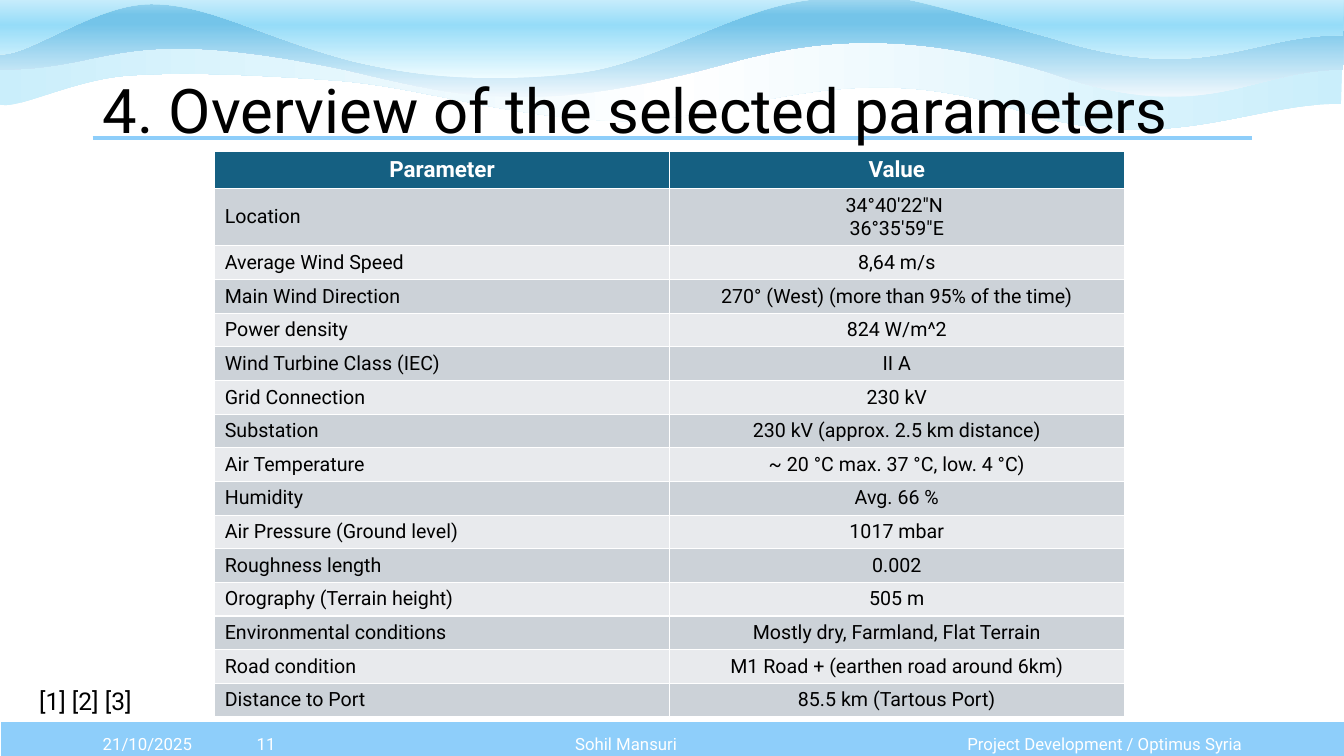
from lxml import etree
from pptx import Presentation
from pptx.dml.color import RGBColor
from pptx.enum.shapes import MSO_CONNECTOR, MSO_SHAPE
from pptx.enum.text import MSO_ANCHOR, PP_ALIGN
from pptx.oxml.ns import qn
from pptx.util import Inches, Pt

LEFT, CENTER, RIGHT = PP_ALIGN.LEFT, PP_ALIGN.CENTER, PP_ALIGN.RIGHT
TOP, MIDDLE = MSO_ANCHOR.TOP, MSO_ANCHOR.MIDDLE
RECTANGLE, STRAIGHT = MSO_SHAPE.RECTANGLE, MSO_CONNECTOR.STRAIGHT

FONT = "Roboto"
UNITS = 100  # freeform units per inch
COLORS = {
    "text": "000000", "white": "FFFFFF", "accent": "8ECEFA",
    "header": "156082", "band_dark": "CCD2D8", "band_light": "E8EAED",
    "ice": "CAEEFB", "mist": "F0F8FD", "wave": "74C4E9", "pale": "A2D8F0",
    "foam": "EFFCFF", "sky": "96DCF8",
}

# Each wave: start point, Bezier segments, straight top edge, height, gradient
BACK_WAVE = {
    "start": (13.3, 1.03),
    "curves": [(12.37, 1.02, 11.52, 1.59, 9.99, 1.06), (8.27, 0.54, 7.21, 1.24, 6.1, 1.2),
               (4.99, 1.16, 4.21, 0.87, 3.35, 0.8), (2.49, 0.74, 1.83, 0.71, 1.27, 0.75),
               (0.71, 0.79, 0.14, 1.11, -0.02, 1.03)],
    "edge": [(-0.04, 0.3), (3.13, 0.31), (6.52, 0.34), (9.41, 0.32), (13.32, 0.34)],
    "height": 0.98, "stops": [(0, "ice"), (50, "white"), (100, "ice")], "angle": 0,
}
MIDDLE_WAVE = {
    "start": (13.32, 0.69),
    "curves": [(12.39, 0.69, 11.96, 1.27, 10.44, 0.73), (8.71, 0.19, 7.73, 0.49, 7.06, 0.67),
               (5.28, 1.14, 4.59, 0.97, 3.46, 0.7), (1.13, 0.21, 1.15, 0.69, 0, 0.69)],
    "edge": [(0.01, -0.01), (3.13, 0), (6.54, -0.02), (9.46, -0.01), (13.33, 0.03)],
    "height": 0.98, "angle": 90,
    "stops": [(0, "mist"), (74, "wave"), (83, "wave"), (100, "pale")],
}
FRONT_WAVE = {
    "start": (13.32, 0.37),
    "curves": [(12.39, 0.36, 11.96, 0.88, 10.44, 0.4), (8.72, -0.08, 8.91, -0.05, 8.13, 0.01),
               (7.35, 0.06, 6.53, 0.64, 5.76, 0.74), (4.98, 0.84, 4.24, 0.81, 3.47, 0.62),
               (2.58, 0.38, 2.07, 0.06, 1.5, 0.06), (0.92, 0.06, 0.22, 0.63, -0.03, 0.55)],
    "edge": [(0.01, -0.25), (3.13, -0.24), (6.54, -0.26), (9.46, -0.25), (13.33, -0.22)],
    "height": 1.06, "stops": [(0, "foam"), (50, "sky"), (100, "white")], "angle": 90,
}

PARAMETERS = [
    ("Parameter", "Value"),
    ("Location", "34°40'22\"N \n36°35'59\"E"),
    ("Average Wind Speed", "8,64 m/s"),
    ("Main Wind Direction", "270° (West) (more than 95% of the time)"),
    ("Power density", "824 W/m^2"),
    ("Wind Turbine Class (IEC)", "II A"),
    ("Grid Connection", "230 kV"),
    ("Substation", "230 kV (approx. 2.5 km distance)"),
    ("Air Temperature", "~ 20 °C max. 37 °C, low. 4 °C)"),
    ("Humidity", "Avg. 66 %"),
    ("Air Pressure (Ground level)", "1017 mbar"),
    ("Roughness length", "0.002"),
    ("Orography (Terrain height)", "505 m"),
    ("Environmental conditions", "Mostly dry, Farmland, Flat Terrain"),
    ("Road condition", "M1 Road + (earthen road around 6km)"),
    ("Distance to Port", "85.5 km (Tartous Port)"),
]


def rgb(name):
    return RGBColor.from_string(COLORS[name])


def write(tf, text, size=12, color="white", bold=False, align=LEFT, anchor=MIDDLE, spacing=None):
    tf.word_wrap = True
    tf.vertical_anchor = anchor
    for i, line in enumerate(text.split("\n")):
        p = tf.add_paragraph() if i else tf.paragraphs[0]
        p.alignment = align
        if spacing:
            p.line_spacing = spacing
        r = p.add_run()
        r.text = line
        r.font.name, r.font.size, r.font.bold = FONT, Pt(size), bold
        r.font.color.rgb = rgb(color)


class SlideBuilder:
    def __init__(self, slide):
        self.shapes = slide.shapes

    def bar(self, x, y, w, h, fill):
        sp = self.shapes.add_shape(RECTANGLE, Inches(x), Inches(y), Inches(w), Inches(h))
        sp.shadow.inherit = False
        sp.fill.solid()
        sp.fill.fore_color.rgb = rgb(fill)
        sp.line.color.rgb = rgb("white")
        sp.line.width = Pt(1.5)

    def wave(self, start, curves, edge, height, stops, angle, dy=0):
        corners = [start] + [curve[-2:] for curve in curves] + edge
        left, top = (min(values) for values in zip(*corners))
        local = [(UNITS * (x - left), UNITS * (y - top)) for x, y in corners]
        builder = self.shapes.build_freeform(*local[0], scale=Inches(1) / UNITS)
        builder.add_line_segments(local[1:], close=True)
        sp = builder.convert_to_shape(Inches(left), Inches(top + dy))

        # Bend the first segments and fit the box to the curves
        outline = next(sp.element.iter(qn("a:path")))
        outline.set("h", str(round(UNITS * height)))
        sp.height = Inches(height)
        for straight, curve in zip(list(outline.iter(qn("a:lnTo"))), curves):
            bend = etree.Element(qn("a:cubicBezTo"))
            for x, y in zip(curve[::2], curve[1::2]):
                etree.SubElement(bend, qn("a:pt"), x=str(round(UNITS * (x - left))),
                                 y=str(round(UNITS * (y - top))))
            outline.replace(straight, bend)

        sp.shadow.inherit = False
        sp.line.fill.background()
        sp.fill.gradient()
        sp.fill.gradient_angle = angle
        stop_list = sp.element.spPr.find(qn("a:gradFill")).find(qn("a:gsLst"))
        stop_list.clear()
        for position, name in stops:
            gs = etree.SubElement(stop_list, qn("a:gs"), pos=str(position * 1000))
            etree.SubElement(gs, qn("a:srgbClr"), val=COLORS[name])

    def line(self, x1, y1, x2, y2, color, width):
        cx = self.shapes.add_connector(STRAIGHT, Inches(x1), Inches(y1), Inches(x2), Inches(y2))
        cx.line.color.rgb = rgb(color)
        cx.line.width = Pt(width)
        etree.SubElement(cx.element.spPr, qn("a:effectLst"))

    def text(self, x, y, w, h, text, **style):
        tb = self.shapes.add_textbox(Inches(x), Inches(y), Inches(w), Inches(h))
        write(tb.text_frame, text, **style)

    def table(self, x, y, col_width, heights, rows):
        # The default table style supplies the white borders
        table = self.shapes.add_table(len(rows), 2, Inches(x), Inches(y),
                                      Inches(2 * col_width), Inches(sum(heights))).table
        for column in table.columns:
            column.width = Inches(col_width)
        for r, values in enumerate(rows):
            header = r == 0
            table.rows[r].height = Inches(heights[r])
            fill = "header" if header else "band_dark" if r % 2 else "band_light"
            for c, value in enumerate(values):
                cell = table.cell(r, c)
                cell.fill.solid()
                cell.fill.fore_color.rgb = rgb(fill)
                cell.vertical_anchor = MIDDLE
                write(cell.text_frame, value, size=16 if header else 14, bold=header,
                      color="white" if header else "text", anchor=None,
                      align=CENTER if header or c else LEFT)


def main():
    prs = Presentation()
    prs.slide_width, prs.slide_height = Inches(13.33), Inches(7.5)
    s = SlideBuilder(prs.slides.add_slide(prs.slide_layouts[6]))

    # Background: footer bar, two sets of waves, title rule
    s.bar(0, 7.15, 13.35, 0.4, "accent")
    for front_shift in (0, -0.02):
        s.wave(**BACK_WAVE)
        s.wave(**MIDDLE_WAVE)
        s.wave(**FRONT_WAVE, dy=front_shift)
    s.line(0.92, 1.37, 12.42, 1.37, "accent", 3)

    # Title
    s.text(0.92, 0.4, 11.5, 1.45, "4. Overview of the selected parameters",
           size=44, color="text", spacing=0.9)

    # Footer
    for x, w, text, align in ((0.92, 1.22, "21/10/2025", LEFT),
                              (9.27, 3.15, "Project Development / Optimus Syria", RIGHT),
                              (2.13, 1.02, "11", CENTER),
                              (3.15, 6.12, "Sohil Mansuri", CENTER)):
        s.text(x, 7.18, w, 0.4, text, align=align)

    # References and parameter table
    s.text(0.29, 6.84, 2.46, 0.34, "[1] [2] [3]", size=17.5, color="text", anchor=TOP, spacing=0.7)
    s.table(2.13, 1.5, 4.51, [0.37, 0.57] + [0.33] * 14, PARAMETERS)

    prs.save("out.pptx")


if __name__ == "__main__":
    main()
